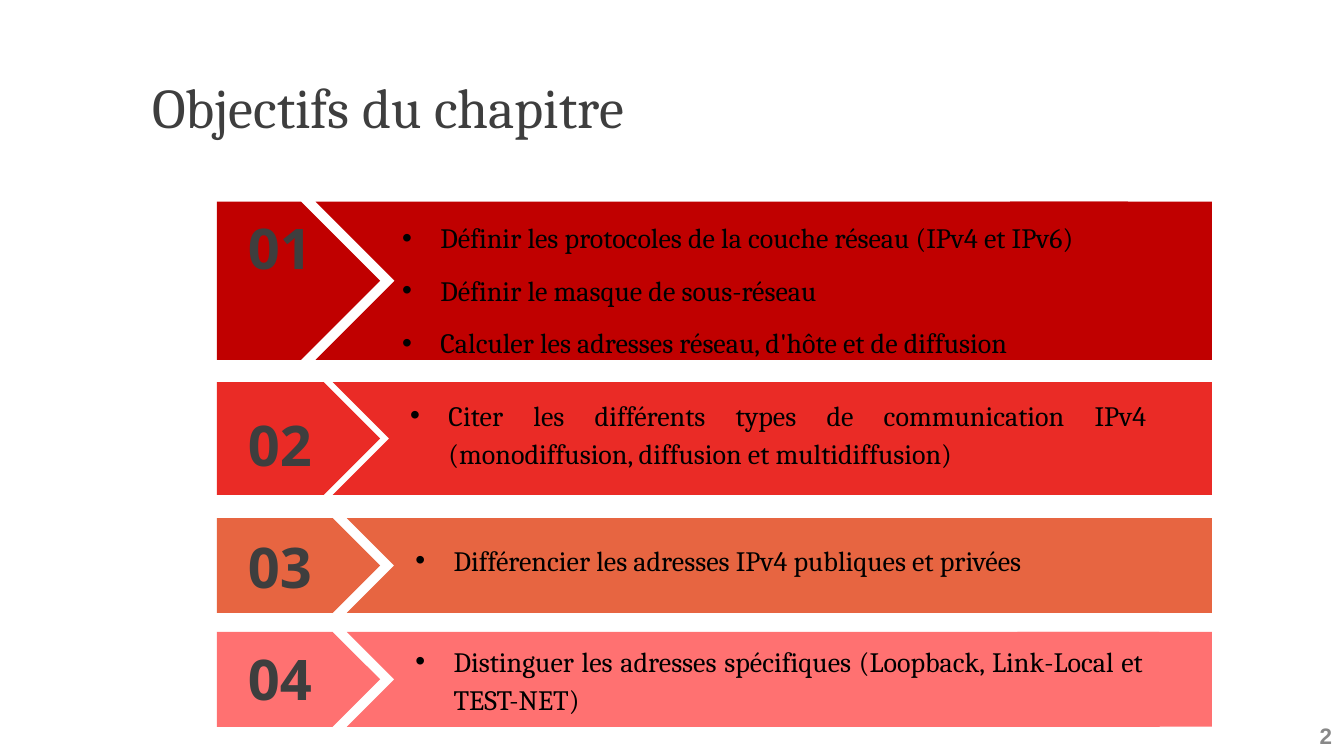
from dataclasses import dataclass

from lxml import etree
from pptx import Presentation
from pptx.dml.color import RGBColor
from pptx.enum.shapes import MSO_SHAPE
from pptx.enum.text import MSO_ANCHOR, MSO_AUTO_SIZE, PP_ALIGN
from pptx.oxml.ns import qn
from pptx.slide import Slide
from pptx.util import Pt

PLATE, CHEVRON, RECT = MSO_SHAPE.PENTAGON, MSO_SHAPE.CHEVRON, MSO_SHAPE.RECTANGLE
LEFT, CENTER, RIGHT, JUSTIFY = (
    PP_ALIGN.LEFT, PP_ALIGN.CENTER, PP_ALIGN.RIGHT, PP_ALIGN.JUSTIFY)
TOP, MIDDLE = MSO_ANCHOR.TOP, MSO_ANCHOR.MIDDLE
GROW, FIXED = MSO_AUTO_SIZE.SHAPE_TO_FIT_TEXT, MSO_AUTO_SIZE.NONE

SCALE = 9144  # EMU per px, 100 px to the inch
WIDTH, HEIGHT = 1333, 750
PLATE_X, PLATE_W = 215, 162
TIP_X, END_X = 1197, 1202
TAIL = 0.226  # share of the chevron covered by its square end
INDENT = 38


@dataclass(frozen=True)
class Style:
    font: str
    size: int
    color: str
    bold: bool = False


@dataclass(frozen=True)
class Theme:
    title: Style = Style("Cambria", 40, "3E3E3E")
    number: Style = Style("Open Sans", 40, "3E3E3E", True)
    goal: Style = Style("Cambria", 20, "000000")
    page: Style = Style("Arial", 16, "888888", True)
    rows: tuple[str, ...] = ("C00000", "EA2B26", "E76541", "FF7171")


@dataclass(frozen=True)
class Box:
    x: int
    y: int
    w: int
    h: int

    def emu(self) -> list[int]:
        return [px * SCALE for px in (self.x, self.y, self.w, self.h)]


@dataclass(frozen=True)
class Row:
    y: int
    h: int
    bar_x: int
    num_y: int
    text: Box
    goals: tuple[str, ...]


THEME = Theme()
ROWS = (
    Row(200, 157, 313, 207, Box(389, 209, 796, 154), (
        "Définir les protocoles de la couche réseau (IPv4 et IPv6)",
        "Définir le masque de sous-réseau",
        "Calculer les adresses réseau, d'hôte et de diffusion")),
    Row(379, 112, 330, 402, Box(397, 385, 750, 85), (
        "Citer les différents types de communication IPv4 "
        "(monodiffusion, diffusion et multidiffusion)",)),
    Row(514, 94, 344, 523, Box(402, 529, 765, 46), (
        "Différencier les adresses IPv4 publiques et privées",)),
    Row(627, 94, 344, 635, Box(402, 629, 742, 85), (
        "Distinguer les adresses spécifiques (Loopback, Link-Local et TEST-NET)",)),
)


def add_block(slide: Slide, kind: MSO_SHAPE, box: Box, color: str) -> None:
    shape = slide.shapes.add_shape(kind, *box.emu())
    shape.shadow.inherit = False
    shape.fill.solid()
    shape.fill.fore_color.rgb = RGBColor.from_string(color)
    shape.line.fill.background()


def add_bullet(para) -> None:
    props = para._p.get_or_add_pPr()
    props.set("marL", str(INDENT * SCALE))
    props.set("indent", str(-INDENT * SCALE))
    etree.SubElement(props, qn("a:buFont")).set("typeface", "Arial")
    etree.SubElement(props, qn("a:buChar")).set("char", "•")


def add_text(slide: Slide, box: Box, lines: tuple[str, ...], style: Style,
             form: dict, anchor: MSO_ANCHOR = TOP, fit: MSO_AUTO_SIZE = GROW,
             inset: int | None = None, bullet: bool = False) -> None:
    frame = slide.shapes.add_textbox(*box.emu()).text_frame
    frame.word_wrap, frame.auto_size = True, fit
    frame.vertical_anchor = anchor
    if inset is not None:
        for side in ("left", "top", "right", "bottom"):
            setattr(frame, f"margin_{side}", inset * SCALE)
    for i, line in enumerate(lines):
        para = frame.add_paragraph() if i else frame.paragraphs[0]
        if bullet:
            add_bullet(para)
        for name, value in form.items():
            setattr(para, name, value)
        run = para.add_run()
        run.text = line
        looks = {"name": style.font, "size": Pt(style.size), "bold": style.bold}
        for name, value in looks.items():
            setattr(run.font, name, value)
        run.font.color.rgb = RGBColor.from_string(style.color)


def add_row(slide: Slide, row: Row, color: str, number: int) -> None:
    # Arrow plate, then the bar made of a chevron and a square end
    add_block(slide, PLATE, Box(PLATE_X, row.y, PLATE_W, row.h), color)
    bar_w = TIP_X - row.bar_x
    add_block(slide, CHEVRON, Box(row.bar_x, row.y, bar_w, row.h), color)
    tail = round(bar_w * TAIL)
    add_block(slide, RECT, Box(END_X - tail, row.y, tail, row.h), color)
    # Number and goals
    add_text(slide, Box(222, row.num_y, 111, 77), (f"{number:02}",),
             THEME.number, {"alignment": CENTER})
    form = {"alignment": JUSTIFY, "line_spacing": 1.15, "space_after": Pt(10)}
    add_text(slide, row.text, row.goals, THEME.goal, form, bullet=True)


def main() -> None:
    deck = Presentation()
    deck.slide_width, deck.slide_height = WIDTH * SCALE, HEIGHT * SCALE
    slide = deck.slides.add_slide(deck.slide_layouts[6])

    # Title
    add_text(slide, Box(141, 47, 900, 125), ("Objectifs du chapitre",), THEME.title,
             {"alignment": LEFT, "line_spacing": 0.9}, MIDDLE, FIXED)

    # Goal rows
    for number, (row, color) in enumerate(zip(ROWS, THEME.rows), 1):
        add_row(slide, row, color, number)

    # Page number
    add_text(slide, Box(1288, 711, 38, 37), ("2",), THEME.page,
             {"alignment": RIGHT}, MIDDLE, inset=5)

    deck.save("out.pptx")


if __name__ == "__main__":
    main()
